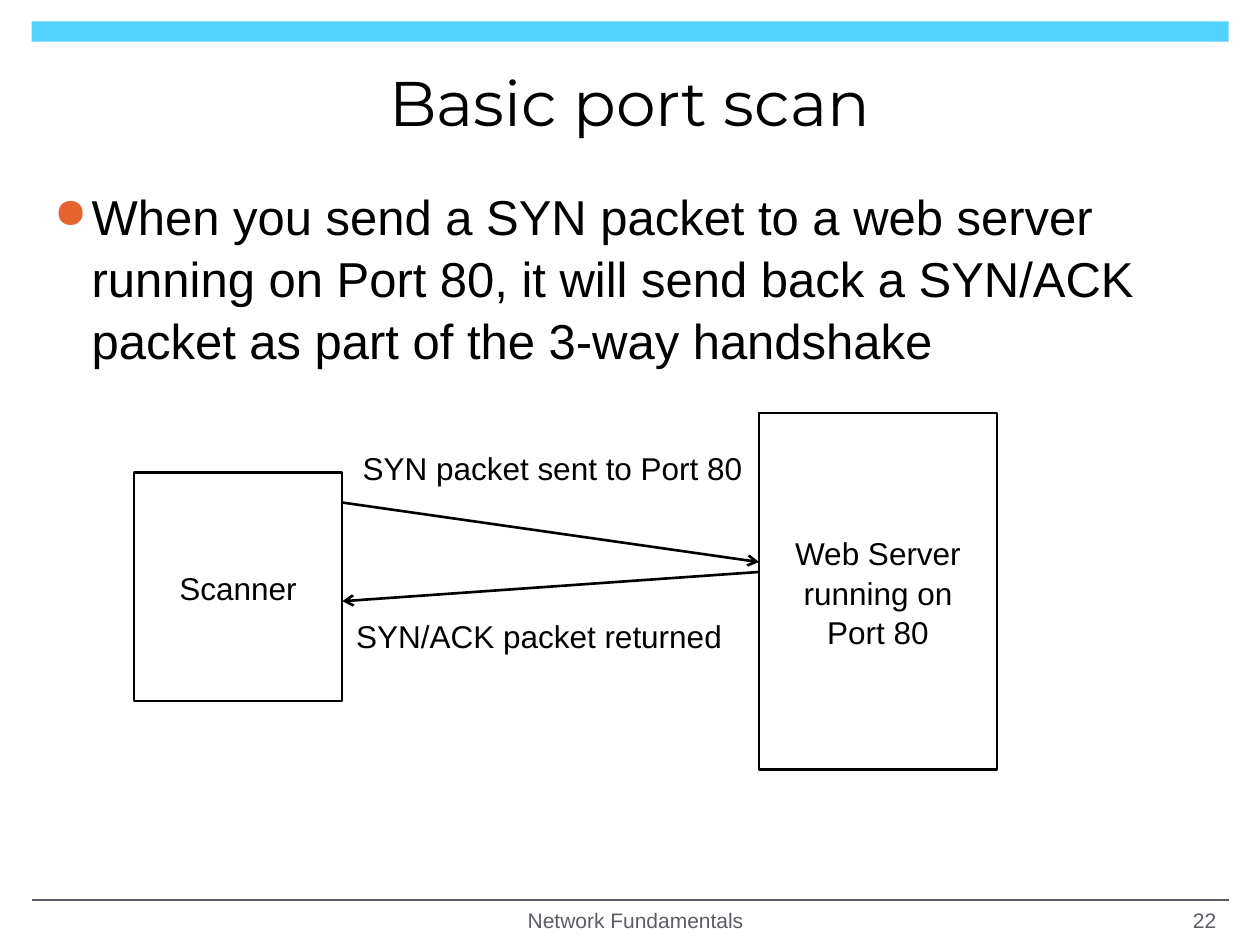
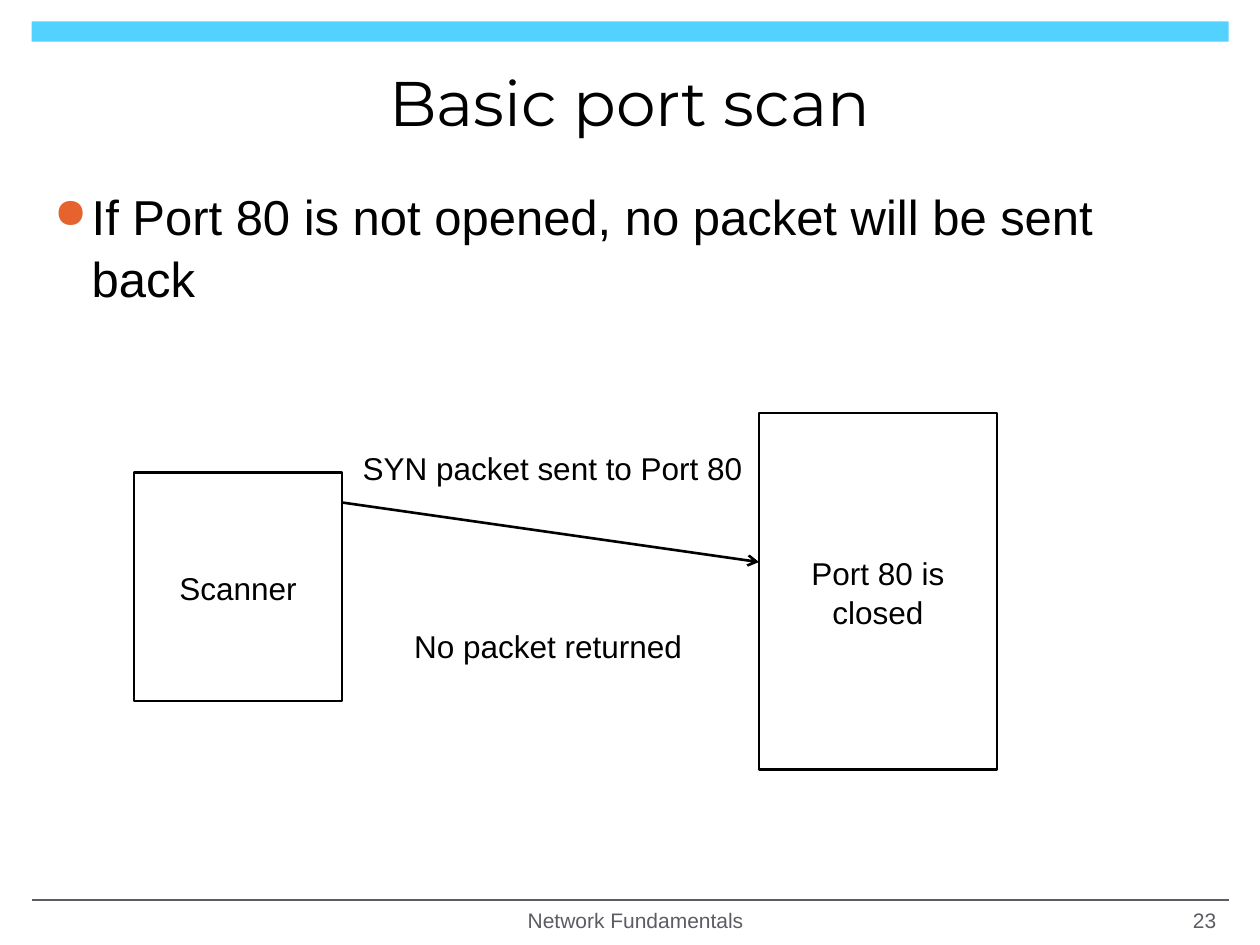
from lxml import etree
from pptx import Presentation
from pptx.dml.color import RGBColor
from pptx.enum.shapes import MSO_CONNECTOR, MSO_SHAPE
from pptx.enum.text import MSO_ANCHOR, MSO_AUTO_SIZE, PP_ALIGN
from pptx.oxml.ns import qn
from pptx.util import Cm, Pt

STRAIGHT = MSO_CONNECTOR.STRAIGHT
RECTANGLE = MSO_SHAPE.RECTANGLE
ROUND_TOP = MSO_SHAPE.ROUND_2_SAME_RECTANGLE
TOP, MIDDLE = MSO_ANCHOR.TOP, MSO_ANCHOR.MIDDLE
LEFT, CENTER, RIGHT = PP_ALIGN.LEFT, PP_ALIGN.CENTER, PP_ALIGN.RIGHT
FIXED_SIZE = MSO_AUTO_SIZE.NONE

COLORS = {"band": "53D2FF", "text": "000000", "footer": "5D5C64", "bullet": "E6632E"}
FIRST_NUMBER = 22

# Edges shared by the diagram's boxes and arrows, in cm
SCANNER_LEFT, SCANNER_RIGHT = 2.7, 6.9
SERVER_LEFT, SERVER_RIGHT = 15.3, 20.1

SYN_ARROW = (SCANNER_RIGHT, 10.13, SERVER_LEFT, 11.33)
REPLY_ARROW = (SERVER_LEFT, 11.53, SCANNER_RIGHT, 12.12)
SYN_LABEL = ("SYN packet sent to Port 80", (7.06, 8.92, 8.26, 1.02))

SLIDES = [
    {
        "bullet": "When you send a SYN packet to a web server running on Port 80, "
                  "it will send back a SYN/ACK packet as part of the 3-way handshake",
        "server": "Web Server running on Port 80",
        "arrows": [SYN_ARROW, REPLY_ARROW],
        "labels": [SYN_LABEL, ("SYN/ACK packet returned", (6.93, 12.32, 7.95, 1.02))],
    },
    {
        "bullet": "If Port 80 is not opened, no packet will be sent back",
        "server": "Port 80 is closed",
        "arrows": [SYN_ARROW],
        "labels": [SYN_LABEL, ("No packet returned", (8.1, 12.52, 6.15, 1.02))],
    },
]


def write(shape, text, size, align=LEFT, anchor=TOP, color="text", font="Arial", wrap=True):
    """Put one formatted paragraph into a shape and return it."""
    frame = shape.text_frame
    frame.text = text
    frame.word_wrap = wrap
    frame.auto_size = FIXED_SIZE
    frame.vertical_anchor = anchor
    para = frame.paragraphs[0]
    para.alignment = align
    para.font.name = font
    para.font.size = Pt(size)
    para.font.color.rgb = RGBColor.from_string(COLORS[color])
    return para


def draw_line(page, ends, color, width, arrow=False):
    """Draw a straight line, with an open arrowhead at its end if asked."""
    line = page.shapes.add_connector(STRAIGHT, *[Cm(value) for value in ends])
    line.line.color.rgb = RGBColor.from_string(COLORS[color])
    line.line.width = Pt(width)
    if arrow:
        etree.SubElement(line.line._get_or_add_ln(), qn("a:tailEnd"), type="arrow")
    etree.SubElement(line._element.spPr, qn("a:effectLst"))


deck = Presentation()
deck.slide_width, deck.slide_height = Cm(25.4), Cm(19.05)

for number, content in enumerate(SLIDES, FIRST_NUMBER):
    page = deck.slides.add_slide(deck.slide_layouts[5])

    # Top band and footer rule
    band = page.shapes.add_shape(ROUND_TOP, Cm(0.64), Cm(0.43), Cm(24.13), Cm(0.41))
    band.adjustments[0] = 0.05
    band.shadow.inherit = False
    band.fill.solid()
    band.fill.fore_color.rgb = RGBColor.from_string(COLORS["band"])
    band.line.fill.background()
    draw_line(page, (0.64, 18.14, 24.77, 18.14), "footer", 1)

    # Title
    title = page.shapes.title
    title.left, title.top, title.width, title.height = Cm(0.84), Cm(0.76), Cm(23.7), Cm(2.57)
    write(title, "Basic port scan", 36, CENTER, MIDDLE, font="Montserrat")

    # Bullet text
    body = page.shapes.add_textbox(Cm(0.84), Cm(3.58), Cm(23.7), Cm(14.2))
    para = write(body, content["bullet"], 28)
    para.line_spacing = 1.05
    properties = para._p.get_or_add_pPr()
    properties.set("marL", str(Cm(0.76)))
    properties.set("indent", str(-Cm(0.76)))
    bullet_color = etree.Element(qn("a:buClr"))
    etree.SubElement(bullet_color, qn("a:srgbClr"), val=COLORS["bullet"])
    bullet_size = etree.Element(qn("a:buSzPct"), val="85000")
    bullet_char = etree.Element(qn("a:buChar"), char="●")
    default_font = properties.find(qn("a:defRPr"))
    for element in (bullet_color, bullet_size, bullet_char):
        default_font.addprevious(element)

    # Footer text and page number
    footer = page.shapes.add_textbox(Cm(8.05), Cm(18.11), Cm(9.53), Cm(0.89))
    write(footer, "Network Fundamentals", 12, CENTER, MIDDLE, "footer")
    page_number = page.shapes.add_textbox(Cm(18.85), Cm(18.11), Cm(5.92), Cm(0.89))
    write(page_number, str(number), 12, RIGHT, MIDDLE, "footer")

    # Scanner and server boxes
    for text, left, right, top, height in (
        ("Scanner", SCANNER_LEFT, SCANNER_RIGHT, 9.53, 4.6),
        (content["server"], SERVER_LEFT, SERVER_RIGHT, 8.33, 7.19),
    ):
        box = page.shapes.add_shape(RECTANGLE, Cm(left), Cm(top), Cm(right - left), Cm(height))
        box.shadow.inherit = False
        box.fill.background()
        box.line.color.rgb = RGBColor.from_string(COLORS["text"])
        box.line.width = Pt(1.5)
        write(box, text, 18, CENTER, MIDDLE).line_spacing = 1.05

    # Packets between the boxes
    for ends in content["arrows"]:
        draw_line(page, ends, "text", 1.5, arrow=True)
    for text, place in content["labels"]:
        label = page.shapes.add_textbox(*[Cm(value) for value in place])
        write(label, text, 18, wrap=False)

deck.save("out.pptx")
